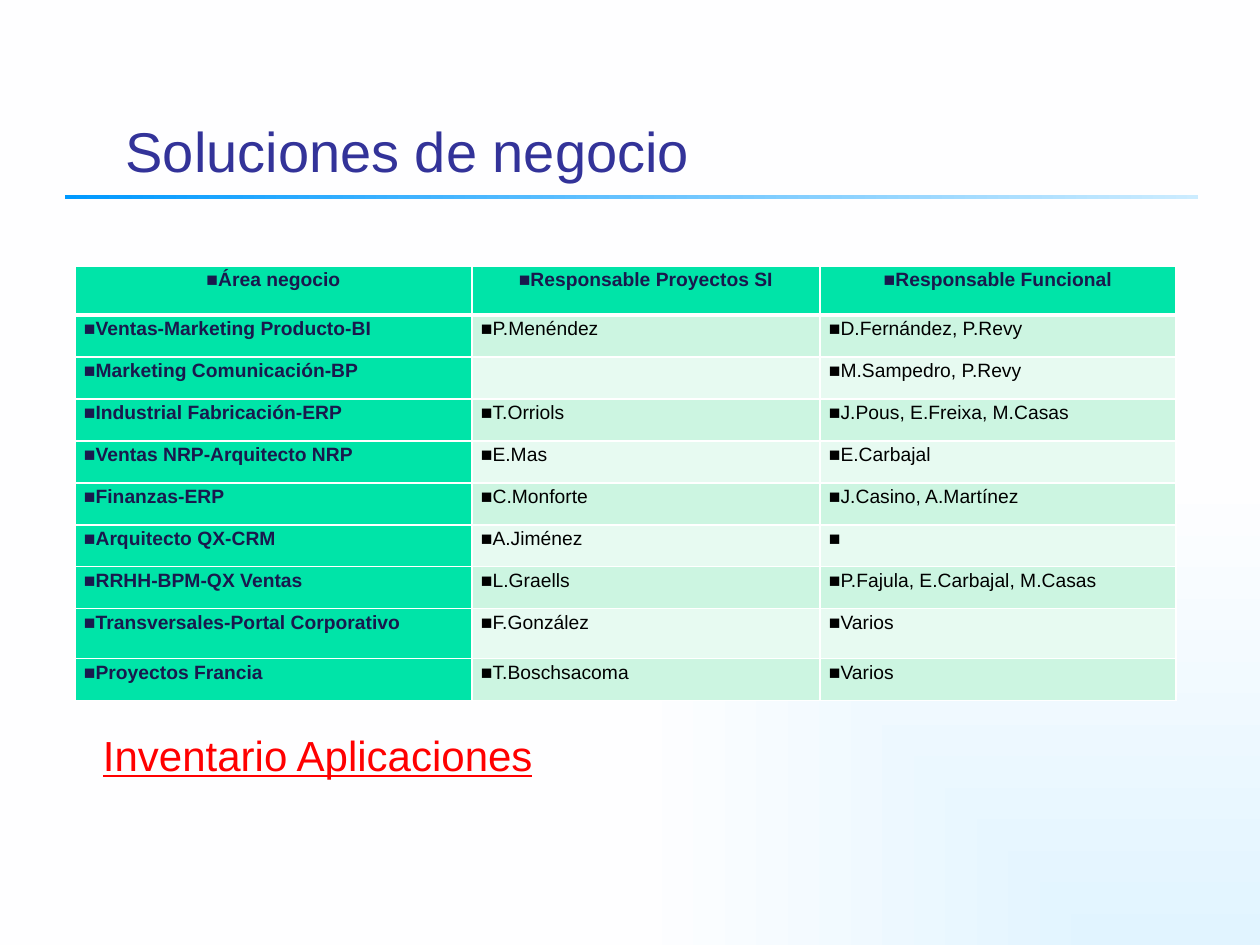
from lxml.etree import SubElement
from pptx import Presentation
from pptx.dml.color import RGBColor
from pptx.enum.shapes import MSO_SHAPE
from pptx.enum.text import MSO_ANCHOR, PP_ALIGN
from pptx.oxml import parse_xml
from pptx.oxml.ns import nsdecls, qn
from pptx.util import Pt

TITLE = "Soluciones de negocio"
LINK = "Inventario Aplicaciones"
ROWS = [
    ("Área negocio", "Responsable Proyectos SI", "Responsable Funcional"),
    ("Ventas-Marketing Producto-BI", "P.Menéndez", "D.Fernández, P.Revy"),
    ("Marketing Comunicación-BP", "", "M.Sampedro, P.Revy"),
    ("Industrial Fabricación-ERP", "T.Orriols", "J.Pous, E.Freixa, M.Casas"),
    ("Ventas NRP-Arquitecto NRP", "E.Mas", "E.Carbajal"),
    ("Finanzas-ERP", "C.Monforte", "J.Casino, A.Martínez"),
    ("Arquitecto QX-CRM", "A.Jiménez", "\u00a0"),
    ("RRHH-BPM-QX Ventas", "L.Graells", "P.Fajula, E.Carbajal, M.Casas"),
    ("Transversales-Portal Corporativo", "F.González", "Varios"),
    ("Proyectos Francia", "T.Boschsacoma", "Varios"),
]
COLUMN_WIDTHS = (397, 348, 356)
ROW_HEIGHTS = (49,) + (42,) * 7 + (50, 42)
HEAD_FILL = "00E4A8"
BAND_FILLS = ("E7FAF1", "CCF5E1")
FONT = "Arial"


def px(length):
    return length * 914400 // 126


def place(left, top, width, height):
    return px(left), px(top), px(width), px(height)


def color(value):
    return RGBColor.from_string(value)


def style(para, size, value, bold=False, underline=False):
    for span in para.runs:
        span.font.name = FONT
        span.font.size = Pt(size)
        span.font.color.rgb = color(value)
        span.font.bold = bold
        span.font.underline = underline


def gradient(fill, start, end):
    fill.gradient()
    for stop, value in zip(fill.gradient_stops, (start, end)):
        stop.color.rgb = color(value)


def add_bullet(para):
    properties = para._p.get_or_add_pPr()
    properties.set("marL", "0")
    properties.set("indent", "0")
    SubElement(properties, qn("a:buClrTx"))
    SubElement(properties, qn("a:buFont")).set("typeface", FONT)
    SubElement(properties, qn("a:buChar")).set("char", "■")


def add_borders(cell, heavy_sides):
    properties = cell._tc.get_or_add_tcPr()
    for index, side in enumerate("LRTB"):
        width = Pt(3 if side in heavy_sides else 1)
        properties.insert(index, parse_xml(
            f'<a:ln{side} {nsdecls("a")} w="{width}"><a:solidFill>'
            f'<a:srgbClr val="FFFFFF"/></a:solidFill></a:ln{side}>'))


def fill_cell(cell, text, row, column):
    strong = row == 0 or column == 0
    cell.margin_left = cell.margin_right = px(9)
    cell.margin_top = cell.margin_bottom = 0
    cell.fill.solid()
    cell.fill.fore_color.rgb = color(HEAD_FILL if strong else BAND_FILLS[row % 2])
    add_borders(cell, {0: "B", 1: "T"}.get(row, ""))
    para = cell.text_frame.paragraphs[0]
    para.text = text
    para.line_spacing = 1.15
    para.space_before = Pt(2.2)
    para.alignment = PP_ALIGN.CENTER if row == 0 else PP_ALIGN.LEFT
    if text:
        add_bullet(para)
        style(para, 11, "19194D" if strong else "000000", bold=strong)
    else:
        SubElement(para._p, qn("a:endParaRPr")).set("sz", "1100")


deck = Presentation()
deck.slide_width, deck.slide_height = px(1260), px(945)
page = deck.slides.add_slide(deck.slide_layouts[5])

gradient(page.background.fill, "E1F4FF", "FEFEFF")
linear = page.element.find(".//" + qn("a:lin"))
linear.getparent().replace(linear, parse_xml(
    f'<a:path {nsdecls("a")} path="rect"><a:fillToRect l="100000" t="100000"/></a:path>'))

rule = page.shapes.add_shape(MSO_SHAPE.RECTANGLE, *place(65, 195, 1133, 4))
rule.shadow.inherit = False
rule.line.fill.background()
gradient(rule.fill, "0099FF", "CCECFF")
rule.fill.gradient_angle = 0

title = page.shapes.title
title.left, title.top, title.width, title.height = place(113, 86, 1074, 104)
title.text_frame.text = TITLE
title.text_frame.vertical_anchor = MSO_ANCHOR.BOTTOM
title.text_frame.paragraphs[0].alignment = PP_ALIGN.LEFT
style(title.text_frame.paragraphs[0], 32, "333399")

frame = page.shapes.add_table(
    len(ROWS), len(COLUMN_WIDTHS),
    *place(75, 266, sum(COLUMN_WIDTHS), sum(ROW_HEIGHTS)))
table = frame.table
for column, width in zip(table.columns, COLUMN_WIDTHS):
    column.width = px(width)
for row, height in zip(table.rows, ROW_HEIGHTS):
    row.height = px(height)
for row, texts in enumerate(ROWS):
    for column, text in enumerate(texts):
        fill_cell(table.cell(row, column), text, row, column)

box = page.shapes.add_textbox(*place(64, 723, 576, 63))
box.text_frame.word_wrap = True
box.text_frame.margin_left = px(39)
box.text_frame.text = LINK
box.text_frame.paragraphs[0].space_before = Pt(4.8)
style(box.text_frame.paragraphs[0], 24, "FF0000", underline=True)

deck.save("out.pptx")
